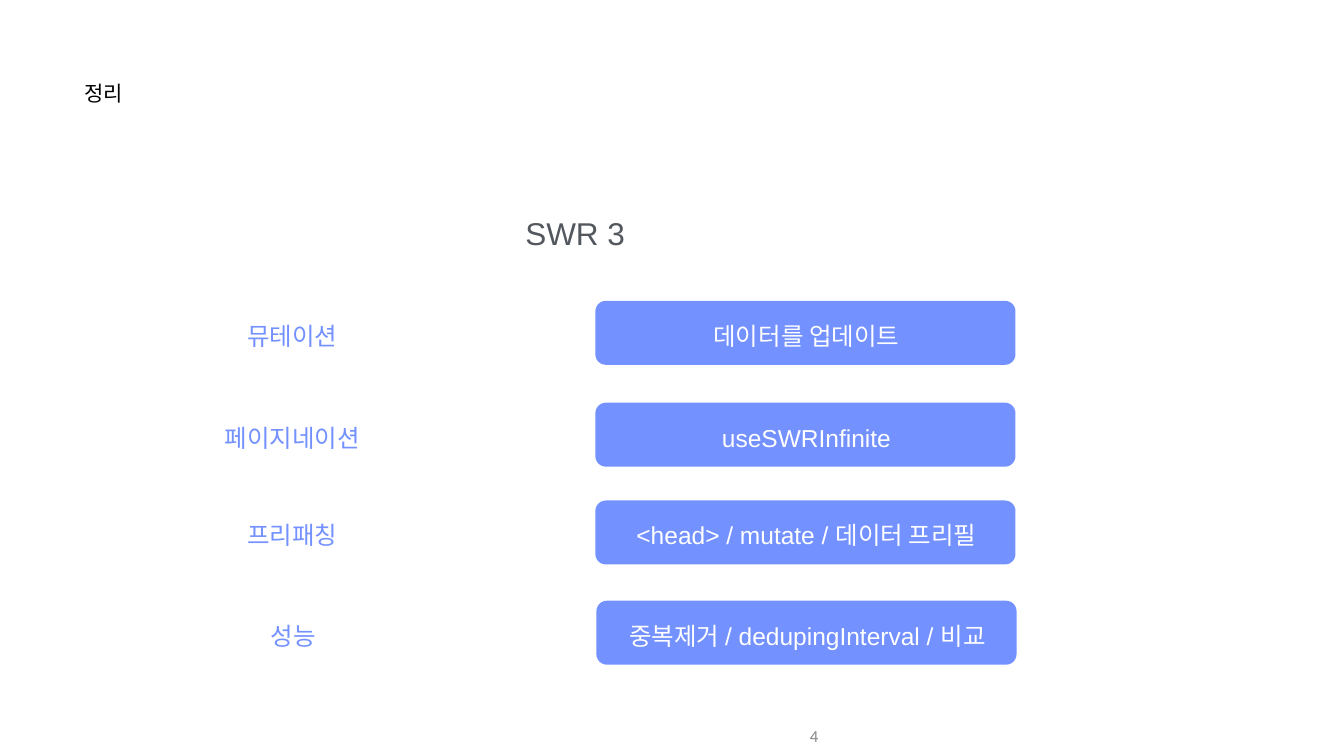
"""Build the SWR 3 summary slide: four topics, each with its key point."""
from pptx import Presentation
from pptx.dml.color import RGBColor
from pptx.enum import shapes, text
from pptx.util import Pt

BLUE = RGBColor(0x73, 0x91, 0xFF)
WHITE = RGBColor(0xFF, 0xFF, 0xFF)
BLACK = RGBColor(0x00, 0x00, 0x00)
SLATE = RGBColor(0x53, 0x58, 0x5F)
GREY = RGBColor(0x88, 0x88, 0x88)
CENTER = text.PP_ALIGN.CENTER
TOP, MIDDLE = text.MSO_ANCHOR.TOP, text.MSO_ANCHOR.MIDDLE

deck = Presentation()
deck.slide_width, deck.slide_height = Pt(1919.52), Pt(1080)
slide = deck.slides.add_slide(deck.slide_layouts[6])


def add_text(words, left, top, width, height, size, color, align=CENTER,
             anchor=MIDDLE, font="Arial", inset=(0.72, 0.72)):
    frame = slide.shapes.add_textbox(Pt(left), Pt(top), Pt(width), Pt(height)).text_frame
    frame.word_wrap = True
    frame.vertical_anchor = anchor
    frame.margin_left = frame.margin_right = Pt(inset[0])
    frame.margin_top = frame.margin_bottom = Pt(inset[1])
    frame.text = words
    paragraph = frame.paragraphs[0]
    paragraph.alignment = align
    for run in paragraph.runs:
        run.font.name = font
        run.font.size = Pt(size)
        run.font.color.rgb = color


add_text("정리", 120, 115, 350, 85, 30, BLACK, text.PP_ALIGN.LEFT, TOP)
add_text("SWR 3", 190, 305, 1263, 57, 45, SLATE, anchor=TOP)

topics = [
    ("뮤테이션", "데이터를 업데이트", 850.3, 429.8),
    ("페이지네이션", "useSWRInfinite", 850.3, 575.3),
    ("프리패칭", "<head> / mutate / 데이터 프리필", 850.3, 715),
    ("성능", "중복제거 / dedupingInterval / 비교", 851.8, 858.2),
]
for topic, key_point, left, top in topics:
    bar = slide.shapes.add_shape(
        shapes.MSO_SHAPE.ROUNDED_RECTANGLE, Pt(left), Pt(top), Pt(600), Pt(91.4))
    bar.adjustments[0] = 0.164
    bar.shadow.inherit = False
    bar.fill.solid()
    bar.fill.fore_color.rgb = BLUE
    bar.line.fill.background()
    add_text(topic, left - 658, top + 27, 450, 44.6, 35, BLUE)
    add_text(key_point, left + 1.5, top + 27, 600, 44.6, 35, WHITE)

add_text("4", 743.8, 1023, 432, 57, 24, GREY, text.PP_ALIGN.RIGHT,
         font="Calibri", inset=(7.2, 3.6))

deck.save("out.pptx")
